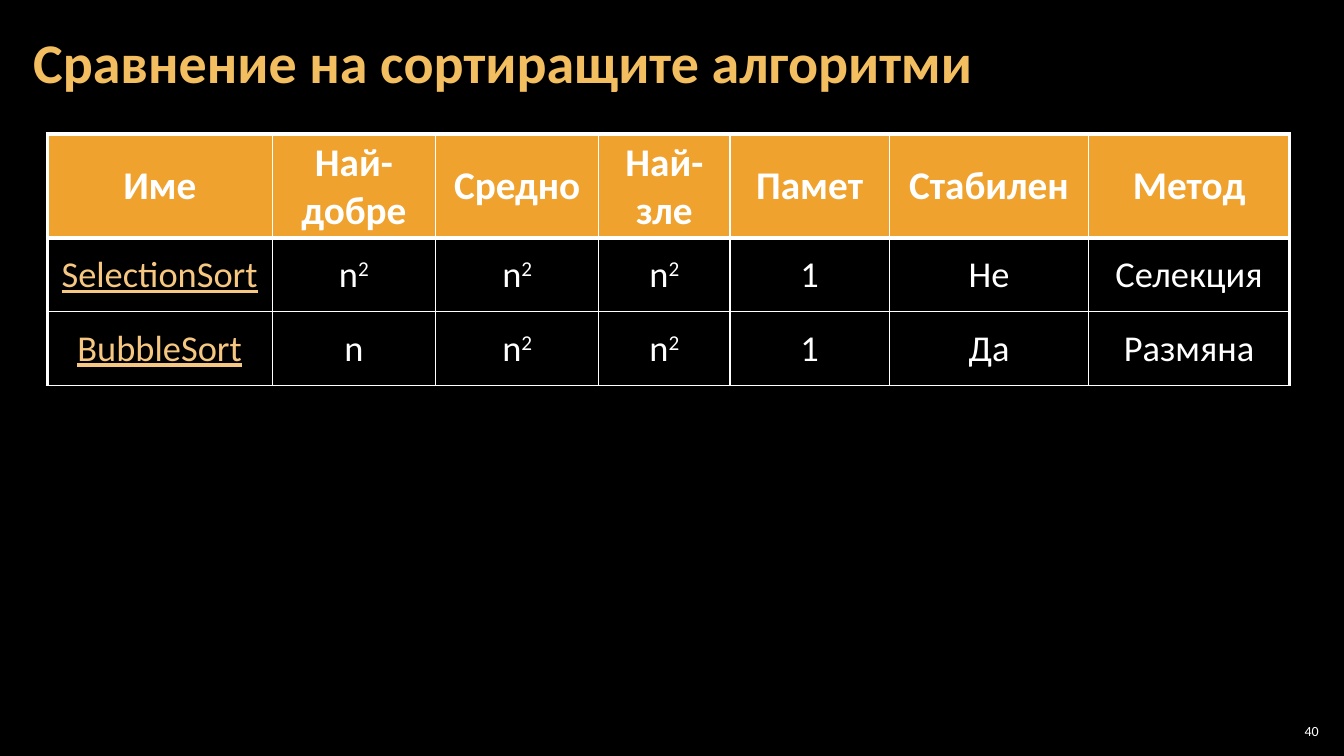
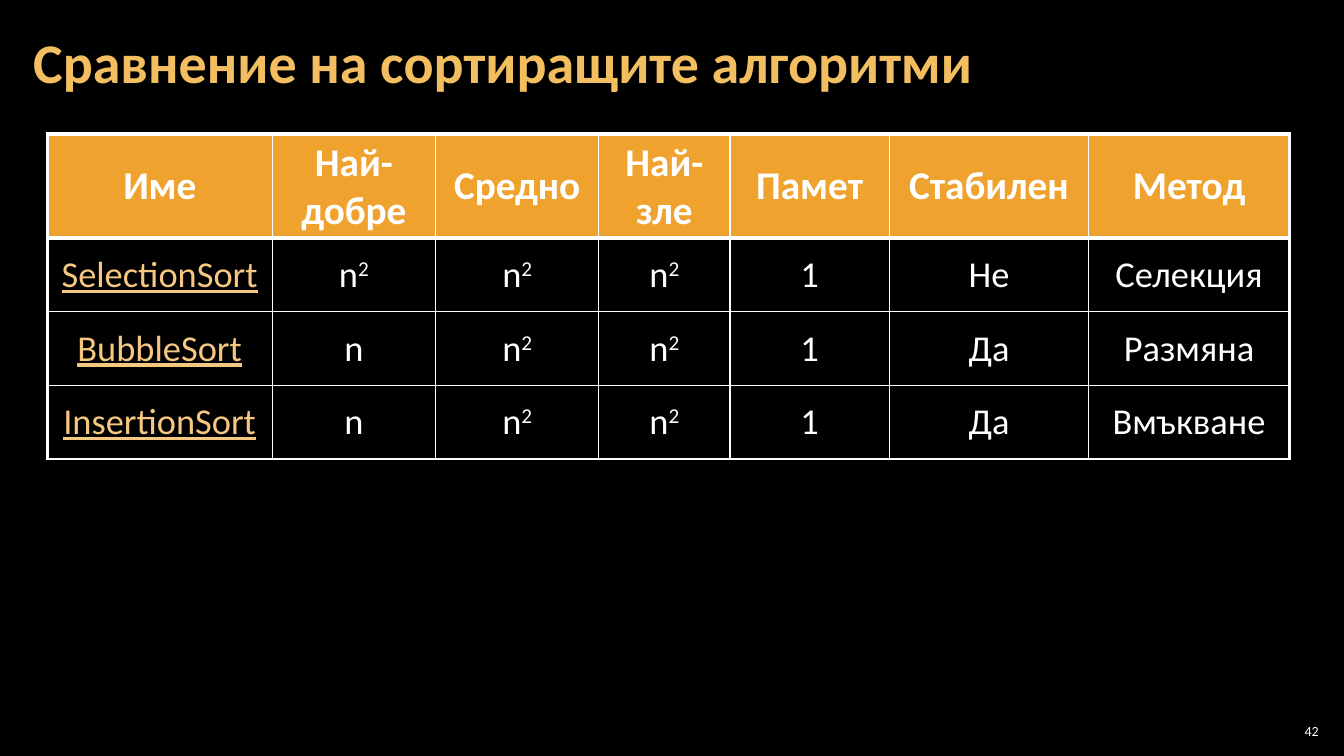
from pptx import Presentation
from pptx.dml.color import RGBColor
from pptx.enum.text import MSO_ANCHOR, PP_ALIGN
from pptx.oxml.ns import qn
from pptx.util import Inches, Pt
from lxml.etree import SubElement

# Shared style
COLORS = {
    "background": "000000",
    "title": "F3BE60",
    "header": "F0A22E",
    "link": "F6C781",
    "text": "FFFFFF",
}
FONT = "Calibri"
FORMATS = {
    "title": {"size": Pt(40), "bold": True, "color": "title"},
    "number": {"size": Pt(10), "bold": False, "color": "text"},
    "header": {"size": Pt(28), "bold": True, "color": "text"},
    "body": {"size": Pt(26), "bold": False, "color": "text"},
    "link": {"size": Pt(26), "bold": False, "underline": True, "color": "link"},
}
THIN, THICK = Pt(1), Pt(3)

# Content
TITLE = "Сравнение на сортиращите алгоритми"
COL_WIDTHS = [2.23, 1.62, 1.62, 1.3, 1.58, 1.98, 1.99]
HEADER_HEIGHT, ROW_HEIGHT = 0.75, 0.73
HEADERS = ["Име", "Най-добре", "Средно", "Най-зле", "Памет", "Стабилен", "Метод"]
ALGORITHMS = [
    ["SelectionSort", "n^2", "n^2", "n^2", "1", "Не", "Селекция"],
    ["BubbleSort", "n", "n^2", "n^2", "1", "Да", "Размяна"],
    ["InsertionSort", "n", "n^2", "n^2", "1", "Да", "Вмъкване"],
]
SLIDES = [(40, 2), (42, 3)]  # page number, algorithms shown


def rgb(name):
    return RGBColor.from_string(COLORS[name])


class Deck:
    """Holds the presentation, its style and the current slide."""

    def __init__(self):
        self.prs = Presentation()
        self.prs.slide_width = Inches(13.33)
        self.prs.slide_height = Inches(7.5)
        self.s = None

    def new_slide(self):
        self.s = self.prs.slides.add_slide(self.prs.slide_layouts[6])
        fill = self.s.background.fill
        fill.solid()
        fill.fore_color.rgb = rgb("background")

    def run(self, p, text, style):
        r = p.add_run()
        r.text = text
        r.font.name = FONT
        for key, value in FORMATS[style].items():
            if key == "color":
                r.font.color.rgb = rgb(value)
            else:
                setattr(r.font, key, value)
        return r

    def textbox(self, text, box, style, side_margin, align, spacing=None):
        tf = self.s.shapes.add_textbox(*map(Inches, box)).text_frame
        layout = {
            "word_wrap": True,
            "vertical_anchor": MSO_ANCHOR.MIDDLE,
            "margin_left": Inches(side_margin),
            "margin_right": Inches(side_margin),
            "margin_top": Inches(0.04),
            "margin_bottom": Inches(0.04),
        }
        for key, value in layout.items():
            setattr(tf, key, value)
        p = tf.paragraphs[0]
        p.alignment = align
        p.line_spacing = spacing
        self.run(p, text, style)

    def title(self, text):
        self.textbox(text, (0.21, 0.04, 10.47, 1.21), "title", 0.12, PP_ALIGN.LEFT, 0.9)

    def page_number(self, number):
        self.textbox(str(number), (12.65, 7.14, 0.47, 0.22), "number", 0.04, PP_ALIGN.RIGHT)

    def borders(self, cell, widths):
        tcPr = cell._tc.get_or_add_tcPr()
        for side, width in widths.items():
            ln = SubElement(tcPr, qn(f"a:ln{side}"), w=str(width))
            fill = SubElement(ln, qn("a:solidFill"))
            SubElement(fill, qn("a:srgbClr"), val=COLORS["text"])

    def cell(self, cell, text, style, fill, widths):
        self.borders(cell, widths)
        cell.fill.solid()
        cell.fill.fore_color.rgb = rgb(fill)
        cell.vertical_anchor = MSO_ANCHOR.MIDDLE
        p = cell.text_frame.paragraphs[0]
        p.alignment = PP_ALIGN.CENTER
        base, _, power = text.partition("^")
        self.run(p, base, style)
        if power:
            r = self.run(p, power, style)
            r._r.get_or_add_rPr().set("baseline", "30000")

    def table(self, rows):
        heights = [HEADER_HEIGHT] + [ROW_HEIGHT] * (len(rows) - 1)
        box = (0.47, 1.33, sum(COL_WIDTHS), sum(heights))
        table = self.s.shapes.add_table(len(rows), len(COL_WIDTHS), *map(Inches, box)).table
        table.horz_banding = False
        for col, width in zip(table.columns, COL_WIDTHS):
            col.width = Inches(width)
        for row, height in zip(table.rows, heights):
            row.height = Inches(height)

        # Thick lines frame the header and the outer sides
        last = len(COL_WIDTHS) - 1
        for i, texts in enumerate(rows):
            for j, text in enumerate(texts):
                widths = {
                    "L": THICK if j == 0 else THIN,
                    "R": THICK if j == last else THIN,
                    "T": THICK if i <= 1 else THIN,
                    "B": THICK if i == 0 else THIN,
                }
                style = "header" if i == 0 else "link" if j == 0 else "body"
                fill = "header" if i == 0 else "background"
                self.cell(table.cell(i, j), text, style, fill, widths)


def main():
    deck = Deck()
    for number, count in SLIDES:
        deck.new_slide()
        deck.page_number(number)
        deck.title(TITLE)
        deck.table([HEADERS] + ALGORITHMS[:count])
    deck.prs.save("out.pptx")


if __name__ == "__main__":
    main()
